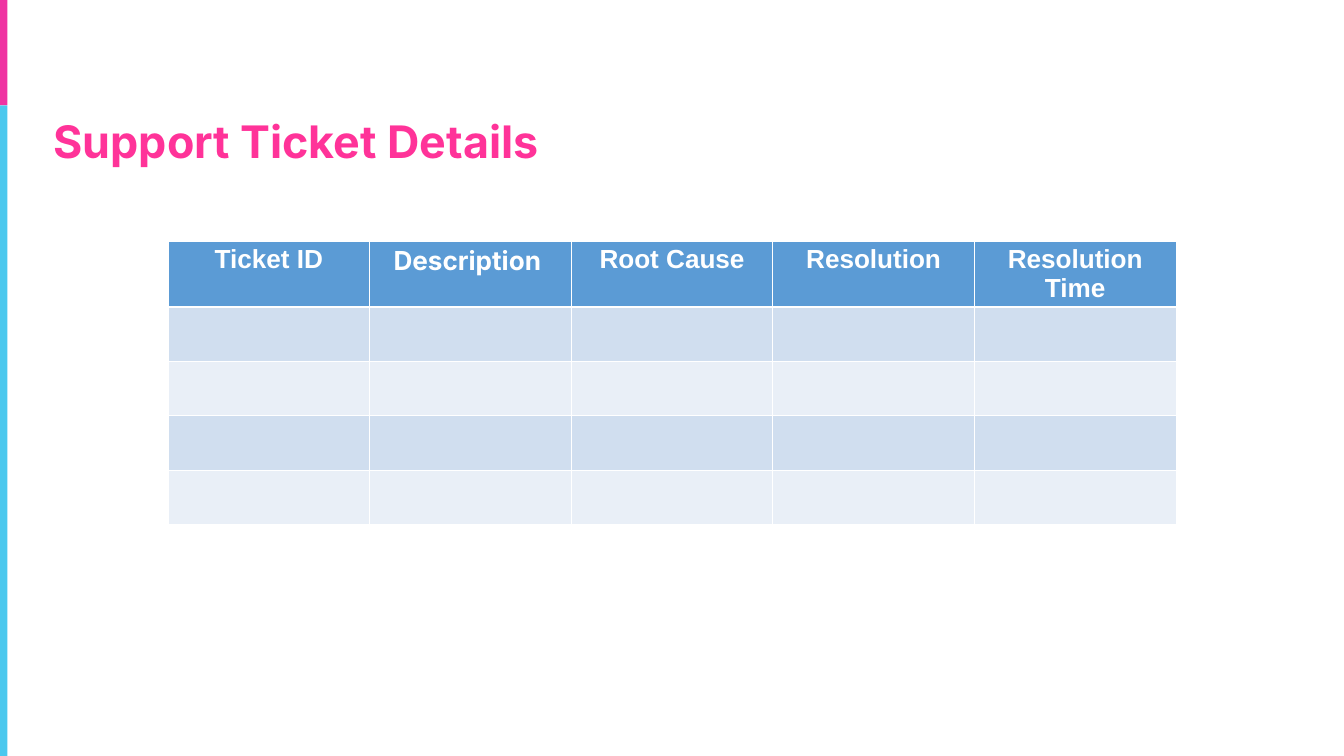
from dataclasses import dataclass

from lxml import etree
from pptx import Presentation
from pptx.dml.color import RGBColor
from pptx.enum import shapes, text
from pptx.oxml import ns
from pptx.util import Cm, Pt


@dataclass(frozen=True)
class Theme:
    cyan: str = "4BC8EE"
    magenta: str = "EF33A2"
    pink: str = "FF3399"
    white: str = "FFFFFF"
    blue: str = "5B9BD5"
    bands: tuple = ("D0DEEF", "E9EFF7")
    title: int = 48
    head: int = 28


THEME = Theme()
HEADS = ("Ticket ID", "Description ", "Root Cause", "Resolution", "Resolution Time")
ROWS = 5


def paint(fill, color):
    fill.solid()
    fill.fore_color.rgb = RGBColor.from_string(color)


def write(frame, words, *, size, color, font="Arial", space=None):
    """Set bold, centred text in a text frame."""
    para = frame.paragraphs[0]
    para.alignment = text.PP_ALIGN.CENTER
    para.line_spacing = space
    run = para.add_run()
    run.text = words
    run.font.name = font
    run.font.size = Pt(size)
    run.font.bold = True
    run.font.color.rgb = RGBColor.from_string(color)


def add_bar(slide, top, height, color):
    """Add one part of the stripe on the left edge."""
    bar = slide.shapes.add_shape(
        shapes.MSO_SHAPE.RECTANGLE, 0, Cm(top), Cm(0.28), Cm(height))
    bar.shadow.inherit = False
    paint(bar.fill, color)
    bar.line.fill.background()


def add_title(slide, words):
    title = slide.shapes.title
    title.left, title.top = Cm(-14.2), Cm(3)
    title.width, title.height = Cm(50.8), Cm(3.6)
    frame = title.text_frame
    frame.margin_left = frame.margin_right = 0
    frame.margin_top = frame.margin_bottom = 0
    frame.auto_size = text.MSO_AUTO_SIZE.NONE
    frame.vertical_anchor = text.MSO_ANCHOR.TOP
    write(frame, words, size=THEME.title, color=THEME.pink, font="Inter", space=1.64)


def set_edges(cell, **widths):
    """Draw white cell borders, with widths in points by side: L, R, T, B."""
    props = cell._tc.get_or_add_tcPr()
    for side, width in widths.items():
        line = etree.SubElement(props, ns.qn(f"a:ln{side}"), w=str(Pt(width)))
        fill = etree.SubElement(line, ns.qn("a:solidFill"))
        etree.SubElement(fill, ns.qn("a:srgbClr"), val=THEME.white)


def add_grid(slide):
    wide, high = Cm(7.62), Cm(2.06)
    grid = slide.shapes.add_table(
        ROWS, len(HEADS), Cm(6.35), Cm(9.14), wide * len(HEADS), high * ROWS).table
    for col in grid.columns:
        col.width = wide
    for num, row in enumerate(grid.rows):
        row.height = high
        color = THEME.bands[(num - 1) % 2] if num else THEME.blue
        for cell in row.cells:
            set_edges(cell, L=1, R=1, T=3 if num == 1 else 1, B=1 if num else 3)
            paint(cell.fill, color)
    for cell, head in zip(grid.rows[0].cells, HEADS):
        font = "Inter" if head.startswith("Description") else "Arial"
        write(cell.text_frame, head, size=THEME.head, color=THEME.white, font=font)


def main():
    deck = Presentation()
    deck.slide_width, deck.slide_height = Cm(50.8), Cm(28.58)
    slide = deck.slides.add_slide(deck.slide_layouts.get_by_name("Title Only"))
    paint(slide.background.fill, THEME.white)
    add_bar(slide, 3.98, 24.6, THEME.cyan)
    add_bar(slide, 0, 3.98, THEME.magenta)
    add_title(slide, "Support Ticket Details")
    add_grid(slide)
    deck.save("out.pptx")


if __name__ == "__main__":
    main()
